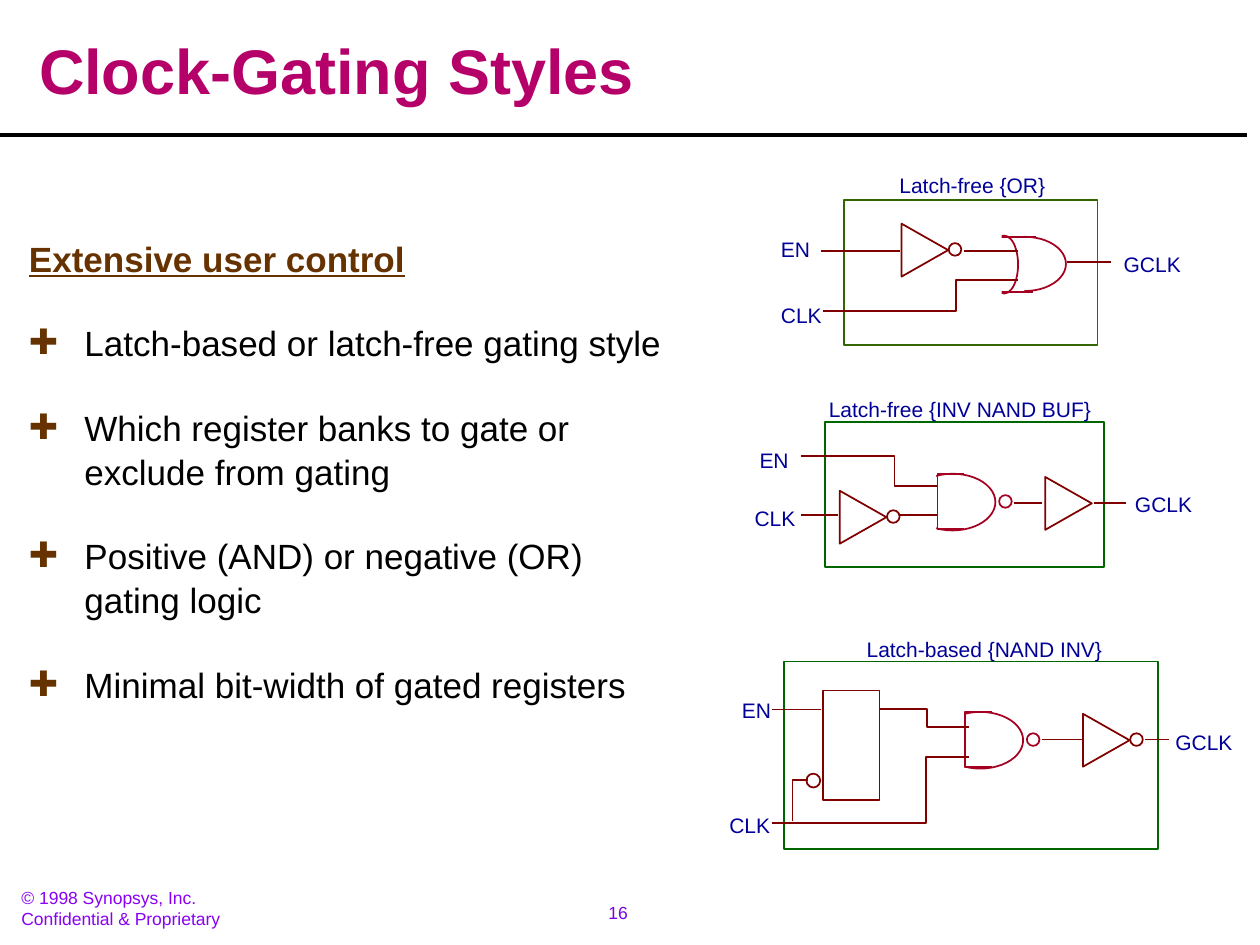
"""Build the clock-gating styles slide with its three gating circuits."""
from lxml import etree
from pptx import Presentation
from pptx.dml.color import RGBColor
from pptx.enum.shapes import MSO_CONNECTOR, MSO_SHAPE
from pptx.enum.text import MSO_ANCHOR, MSO_AUTO_SIZE, PP_ALIGN
from pptx.oxml.ns import qn
from pptx.util import Pt

PX = 9144
RECT, OVAL, TRIANGLE = MSO_SHAPE.RECTANGLE, MSO_SHAPE.OVAL, MSO_SHAPE.ISOSCELES_TRIANGLE
STRAIGHT = MSO_CONNECTOR.STRAIGHT
LEFT, CENTER = PP_ALIGN.LEFT, PP_ALIGN.CENTER
TOP, BOTTOM = MSO_ANCHOR.TOP, MSO_ANCHOR.BOTTOM
NO_FIT = MSO_AUTO_SIZE.NONE
WHITE, BLACK, BROWN, WIRE, GATE = "FFFFFF", "000000", "663300", "800000", "A50021"
LABEL, OLIVE, GREEN = "000099", "336600", "006600"

TITLE = "Clock-Gating Styles"
HEADING = "Extensive user control"
CONTROLS = [
    "Latch-based or latch-free gating style",
    "Which register banks to gate or exclude from gating",
    "Positive (AND) or negative (OR) gating logic",
    "Minimal bit-width of gated registers",
]
COPYRIGHT = ["© 1998 Synopsys, Inc.", "Confidential & Proprietary"]
PAGE = "16"

CIRCUITS = [
    {
        "frame": (670, 159, 201, 115, OLIVE),
        "or": (781, 188), "inverters": [(713, 180)],
        "wires": [
            [(808, 199), (765, 199)], [(714, 199), (652, 199)], [(847, 208), (882, 208)],
            [(808, 222), (759, 222), (759, 247), (653, 247)],
        ],
        "labels": [("EN", 610, 183, 43), ("CLK", 610, 235, 53),
                   ("GCLK", 882, 195, 66), ("Latch-free {OR}", 704, 132, 136)],
    },
    {
        "frame": (655, 335, 221, 115, GREEN),
        "nand": (722, 376), "inverters": [(664, 392)], "buffers": [(827, 381)],
        "wires": [
            [(744, 409), (714, 409)], [(665, 409), (636, 409)],
            [(805, 399), (827, 399)], [(868, 399), (894, 399)],
            [(744, 386), (710, 386), (710, 362), (636, 362)],
        ],
        "labels": [("EN", 593, 350, 43), ("CLK", 589, 396, 53),
                   ("GCLK", 891, 385, 66), ("Latch-free {INV NAND BUF}", 648, 310, 233)],
    },
    {
        "frame": (622, 525, 297, 149, GREEN),
        "latch": (653, 548), "nand": (744, 565), "inverters": [(857, 569)],
        "wires": [
            [(827, 587), (859, 587)], [(909, 587), (928, 587)], [(652, 563), (613, 563)],
            [(698, 563), (736, 563), (736, 577), (769, 577)],
            [(613, 653), (735, 653), (735, 601), (769, 601)],
            [(629, 652), (629, 619), (641, 619)],
        ],
        "labels": [("EN", 579, 549, 43), ("CLK", 569, 640, 53),
                   ("GCLK", 923, 574, 66), ("Latch-based {NAND INV}", 678, 500, 207)],
    },
]


def rgb(code):
    return RGBColor.from_string(code)


def part(kind, x, y, w, h, color=None):
    shape = slide.shapes.add_shape(kind, x * PX, y * PX, w * PX, h * PX)
    shape.shadow.inherit = False
    shape.fill.solid()
    shape.fill.fore_color.rgb = rgb(WHITE)
    if color:
        shape.line.color.rgb = rgb(color)
        shape.line.width = Pt(1)
    else:
        shape.line.fill.background()
    return shape


def wire(points, color=WIRE, width=1):
    (x1, y1), (x2, y2) = points[0], points[-1]
    if len(points) == 2:
        path = slide.shapes.add_connector(STRAIGHT, x1 * PX, y1 * PX, x2 * PX, y2 * PX)
        etree.SubElement(path._element.spPr, qn("a:effectLst"))
    else:
        outline = slide.shapes.build_freeform(x1, y1, scale=PX)
        outline.add_line_segments(points[1:], close=False)
        path = outline.convert_to_shape()
        path.shadow.inherit = False
        path.fill.background()
    path.line.color.rgb = rgb(color)
    path.line.width = Pt(width)


def place(box, x, y, w, h, inset=(10, 5), **frame_format):
    box.left, box.top, box.width, box.height = x * PX, y * PX, w * PX, h * PX
    frame = box.text_frame
    across, down = inset
    values = {"margin_left": across * PX, "margin_right": across * PX,
              "margin_top": down * PX, "margin_bottom": down * PX,
              "auto_size": NO_FIT, **frame_format}
    for name, value in values.items():
        setattr(frame, name, value)
    return frame


def write(frame, texts, size, color, align=LEFT, **font_format):
    for index, text in enumerate(texts):
        paragraph = frame.paragraphs[0] if index == 0 else frame.add_paragraph()
        paragraph.alignment = align
        run = paragraph.add_run()
        run.text = text
        run.font.color.rgb = rgb(color)
        for name, value in {"size": Pt(size), "name": "Arial", **font_format}.items():
            setattr(run.font, name, value)


def label(texts, x, y, w, h=30, size=12, color=LABEL, align=LEFT, inset=(10, 5)):
    box = slide.shapes.add_textbox(0, 0, 0, 0)
    write(place(box, x, y, w, h, inset, word_wrap=False), texts, size, color, align)


def or_gate(x, y):
    part(OVAL, x, y, 65, 43, GATE)
    part(RECT, x + 16, y - 3, 16, 48)
    part(OVAL, x + 5, y - 1, 22, 46, GATE)
    wire([(x + 7, y), (x + 41, y)], GATE)
    wire([(x + 9, y + 44), (x + 39, y + 44)], GATE)
    part(RECT, x - 1, y - 3, 15, 51)


def nand_gate(x, y):
    part(OVAL, x, y, 68, 45, GATE)
    wire([(x + 43, y), (x + 22, y), (x + 22, y + 44), (x + 43, y + 44)], GATE)
    part(RECT, x - 3, y - 3, 24, 50)
    part(OVAL, x + 71, y + 17, 10, 10, GATE)


def latch(x, y):
    part(RECT, x, y, 45, 87, WIRE)
    part(OVAL, x - 13, y + 66, 11, 11, WIRE)


def buffer(x, y):
    part(TRIANGLE, x, y, 42, 37, WIRE).rotation = 90


def inverter(x, y):
    buffer(x, y)
    part(OVAL, x + 40, y + 13, 10, 10, WIRE)


def control_list(body):
    frame = place(body, 13, 177, 525, 383, (10, 10), word_wrap=True, vertical_anchor=TOP)
    write(frame, [HEADING, *CONTROLS], 20, BLACK)
    for index, paragraph in enumerate(frame.paragraphs):
        properties = paragraph._p.get_or_add_pPr()
        properties.set("marL", str(44 * PX))
        properties.set("indent", str(-44 * PX))
        paragraph.line_spacing = 1.04
        paragraph.space_before = Pt(23.4 if index else 0)
        if index:
            tint = etree.SubElement(properties, qn("a:buClr"))
            etree.SubElement(tint, qn("a:srgbClr"), val=BROWN)
            etree.SubElement(properties, qn("a:buChar"), char="✚")
        else:
            etree.SubElement(properties, qn("a:buNone"))
    heading = frame.paragraphs[0].runs[0].font
    heading.bold = heading.underline = True
    heading.color.rgb = rgb(BROWN)


def circuit(parts):
    part(RECT, *parts["frame"])
    for name, draw in {"latch": latch, "or": or_gate, "nand": nand_gate}.items():
        if name in parts:
            draw(*parts[name])
    for spot in parts["inverters"]:
        inverter(*spot)
    for points in parts["wires"]:
        wire(points)
    for spot in parts.get("buffers", []):
        buffer(*spot)
    for text, x, y, w in parts["labels"]:
        label([text], x, y, w)


deck = Presentation()
deck.slide_width, deck.slide_height = 1000 * PX, 750 * PX
slide = deck.slides.add_slide(deck.slide_layouts[1])
title, controls = slide.placeholders

wire([(0, 107), (990, 107)], BLACK, 2)
label([PAGE], 449, 711, 83, 27, 10, "7B00E4", CENTER)
label(COPYRIGHT, 10, 701, 171, 39, 10, "8901F3", inset=(7, 3))
title_frame = place(title, 21, 15, 971, 76, word_wrap=True, vertical_anchor=BOTTOM)
write(title_frame, [TITLE], 36, "B50069", bold=True)
title_frame.paragraphs[0].line_spacing = 0.9
control_list(controls)
for gating_style in CIRCUITS:
    circuit(gating_style)

deck.save("out.pptx")
